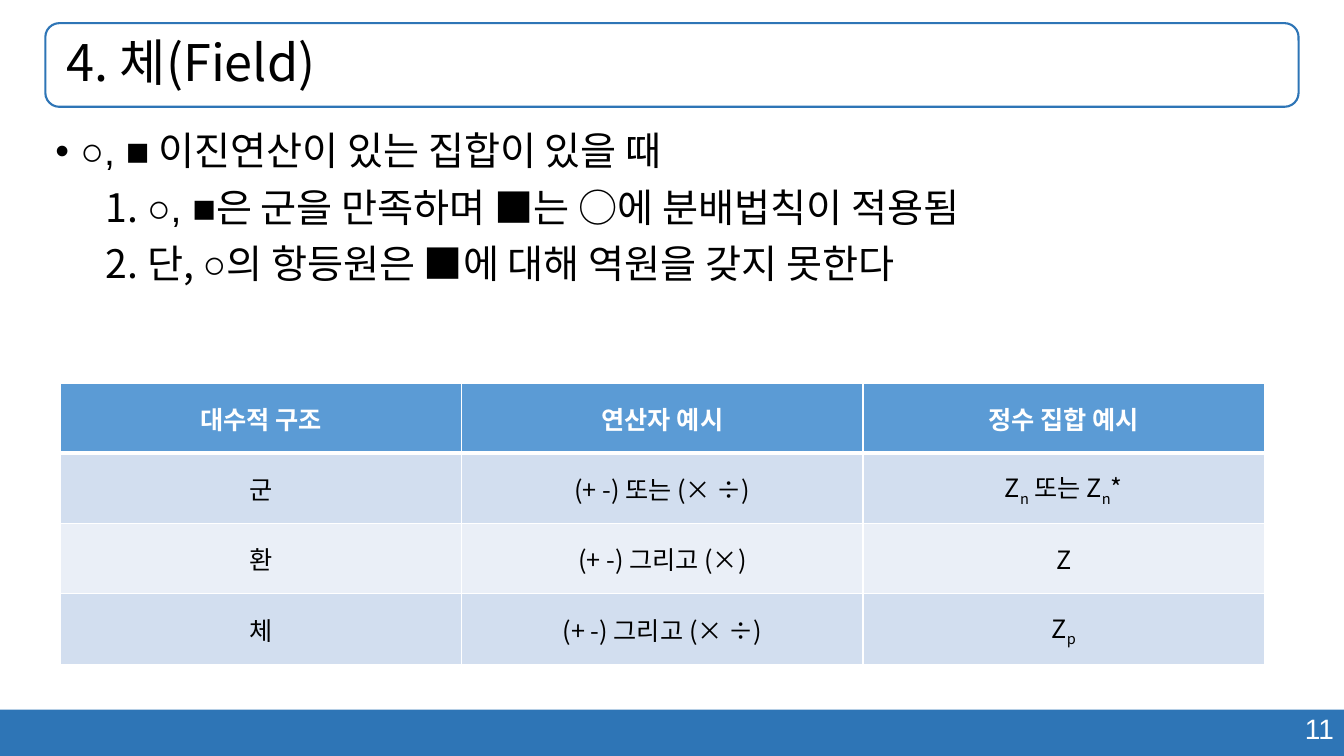
import pptx
import pptx.dml.color
import pptx.enum.shapes
import pptx.enum.text
import pptx.oxml
import pptx.oxml.ns
import pptx.util
from pptx.dml.color import RGBColor
from pptx.util import Inches

BLUE = RGBColor(0x2E, 0x75, 0xB6)
HEADER = RGBColor(0x5B, 0x9B, 0xD5)
BAND_DARK = RGBColor(0xD2, 0xDE, 0xEF)
BAND_LIGHT = RGBColor(0xEA, 0xEF, 0xF7)
WHITE = RGBColor(0xFF, 0xFF, 0xFF)
BLACK = RGBColor(0, 0, 0)
KOREAN = "Noto Sans CJK KR"
LATIN = "Arial"
CENTER = pptx.enum.text.PP_ALIGN.CENTER
RIGHT = pptx.enum.text.PP_ALIGN.RIGHT
MIDDLE = pptx.enum.text.MSO_ANCHOR.MIDDLE
SHAPE = pptx.enum.shapes.MSO_SHAPE

TITLE_BOX = (0.45, 0.23, 12.43, 0.83)
DEFINITION = [
    ("•", 0.25, -0.25, [("○, ■", LATIN), (" 이진연산이 있는 집합이 있을 때", KOREAN)]),
    (None, 0.5, 0, [("1. ", KOREAN), ("○, ■", LATIN), ("은 군을 만족하며 ", KOREAN),
                    ("■", LATIN), ("는 ", KOREAN), ("○", LATIN),
                    ("에 분배법칙이 적용됨", KOREAN)]),
    (2, 0.78, -0.28, [(" 단, ", KOREAN), ("○", LATIN), ("의 항등원은 ", KOREAN),
                      ("■", LATIN), ("에 대해 역원을 갖지 못한다", KOREAN)]),
]
STRUCTURES = [
    (["대수적 구조"], ["연산자 예시"], ["정수 집합 예시"]),
    (["군"], ["(+ -) 또는 (× ÷)"], ["Z", "n", " 또는 Z", "n", "*"]),
    (["환"], ["(+ -) 그리고 (×)"], ["Z"]),
    (["체"], ["(+ -) 그리고 (× ÷)"], ["Z", "p"]),
]


def add_child(parent, tag, **attrs):
    """Append a DrawingML child element and return it."""
    child = pptx.oxml.parse_xml(f"<a:{tag} {pptx.oxml.ns.nsdecls('a')}/>")
    for name, value in attrs.items():
        child.set(name, str(value))
    parent.append(child)
    return child


def add_run(p, text, size, color=BLACK, font=KOREAN, bold=False):
    """Add one formatted run to a paragraph."""
    r = p.add_run()
    r.text = text
    r.font.size = pptx.util.Pt(size)
    r.font.bold = bold
    r.font.color.rgb = color
    r.font.name = font
    add_child(r.font._element, "ea", typeface=KOREAN)
    return r


def add_box(s, shape_type, box, fill=None, line=None):
    """Add a preset shape with an optional fill and outline."""
    sp = s.shapes.add_shape(shape_type, *map(Inches, box))
    sp.shadow.inherit = False
    if fill is None:
        sp.fill.background()
    else:
        sp.fill.solid()
        sp.fill.fore_color.rgb = fill
    if line is None:
        sp.line.fill.background()
    else:
        sp.line.color.rgb = line
        sp.line.width = pptx.util.Pt(1.5)
    return sp


def add_text(s, box):
    """Add a wrapping text box and return its text frame."""
    tf = s.shapes.add_textbox(*map(Inches, box)).text_frame
    tf.word_wrap = True
    return tf


def add_definition(s):
    """Add the bulleted and numbered definition of a field."""
    tf = add_text(s, (0.45, 1.26, 12.43, 5.53))
    for i, (marker, margin, indent, runs) in enumerate(DEFINITION):
        p = tf.paragraphs[0] if i == 0 else tf.add_paragraph()
        p.level = min(i, 1)
        p.line_spacing = 0.9
        p.space_before = pptx.util.Pt(10 if i else 0)
        pPr = p._p.get_or_add_pPr()
        pPr.set("marL", str(Inches(margin)))
        pPr.set("indent", str(Inches(indent)))
        if marker is None:
            add_child(pPr, "buNone")
        elif marker == "•":
            add_child(pPr, "buFont", typeface=LATIN)
            add_child(pPr, "buChar", char=marker)
        else:
            add_child(pPr, "buFont", typeface=KOREAN)
            add_child(pPr, "buAutoNum", type="arabicPeriod", startAt=marker)
        for text, font in runs:
            add_run(p, text, 28, font=font)


def set_borders(cell, bottom):
    """Draw white cell borders with the given bottom width in points."""
    tcPr = cell._tc.get_or_add_tcPr()
    for side, width in (("lnL", 1), ("lnR", 1), ("lnT", 1), ("lnB", bottom)):
        ln = add_child(tcPr, side, w=pptx.util.Pt(width))
        add_child(add_child(ln, "solidFill"), "srgbClr", val=WHITE)


def add_structures(s):
    """Add the table that compares the algebraic structures."""
    rows, cols = len(STRUCTURES), len(STRUCTURES[0])
    table = s.shapes.add_table(rows, cols, *map(Inches, (0.6, 3.8, 11.94, 2.79))).table
    for i, row in enumerate(STRUCTURES):
        header = i == 0
        for j, parts in enumerate(row):
            cell = table.cell(i, j)
            set_borders(cell, 3 if header else 1)
            cell.fill.solid()
            cell.fill.fore_color.rgb = HEADER if header else (BAND_LIGHT, BAND_DARK)[i % 2]
            cell.vertical_anchor = MIDDLE
            p = cell.text_frame.paragraphs[0]
            p.alignment = CENTER
            for part in parts:
                r = add_run(p, part, 18, WHITE if header else BLACK, bold=header)
                if part in ("n", "p"):
                    r.font._element.set("baseline", "-25000")


def main():
    """Build the slide about fields and save it."""
    prs = pptx.Presentation()
    prs.slide_width, prs.slide_height = Inches(13.33), Inches(7.5)
    s = prs.slides.add_slide(prs.slide_layouts[6])
    add_box(s, SHAPE.RECTANGLE, (0, 7.04, 13.33, 0.46), fill=BLUE)
    p = add_text(s, (9.43, 7.01, 3.9, 0.44)).paragraphs[0]
    p.alignment = RIGHT
    add_run(p, "11", 20, WHITE, LATIN)
    add_box(s, SHAPE.ROUNDED_RECTANGLE, TITLE_BOX, line=BLUE)
    tf = add_text(s, TITLE_BOX)
    tf.vertical_anchor = MIDDLE
    tf.paragraphs[0].line_spacing = 0.9
    add_run(tf.paragraphs[0], " 4. 체(Field)", 36)
    add_definition(s)
    add_structures(s)
    prs.save("out.pptx")


if __name__ == "__main__":
    main()
